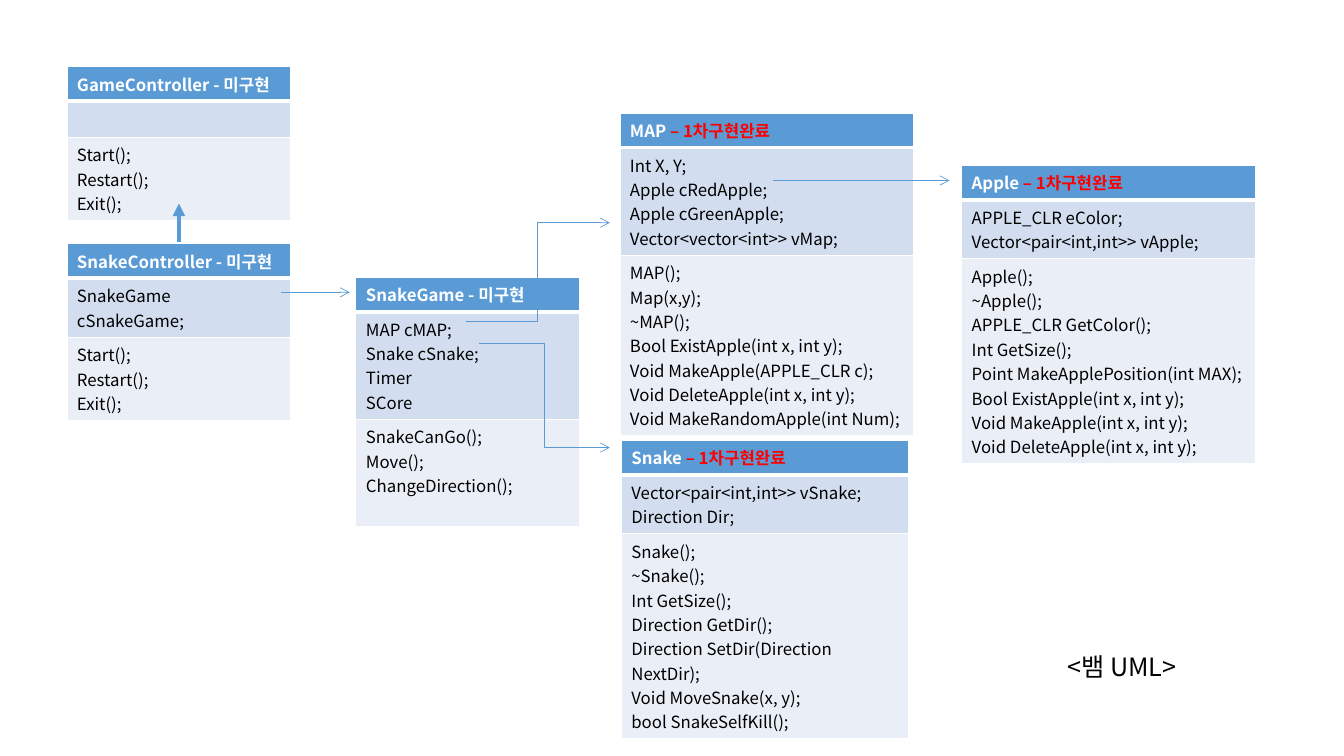
from dataclasses import dataclass

from lxml import etree
from pptx import Presentation
from pptx.dml.color import RGBColor
from pptx.enum import shapes
from pptx.oxml import ns
from pptx.util import Pt


@dataclass(frozen=True)
class Theme:
    """Colours, font and sizes shared by the whole diagram."""
    font: str = "Noto Sans CJK KR"
    blue: str = "5B9BD5"
    fields: str = "D2DEEF"
    methods: str = "EAEFF7"
    white: str = "FFFFFF"
    black: str = "000000"
    red: str = "FF0000"
    body: float = 12
    caption: float = 18
    line: float = 17.4
    padding: float = 7.2


T = Theme()
TODO = " - 미구현"
DONE = "– 1차구현완료"


def add(parent, tag, **attrs):
    """Append a drawing element to parent and return it."""
    return etree.SubElement(parent, ns.qn(tag), attrs)


def write(tf, lines, size=T.body, color=T.black, bold=False):
    """Fill a text frame; each line is a string or a list of (text, colour) runs."""
    for i, line in enumerate(lines or [[]]):
        p = tf.paragraphs[0] if i == 0 else tf.add_paragraph()
        runs = [(line, color)] if isinstance(line, str) else line
        for words, tint in runs:
            r = p.add_run()
            r.text = words
            r.font.size, r.font.bold, r.font.name = Pt(size), bold, T.font
            r.font.color.rgb = RGBColor.from_string(tint)
            add(r.font._element, "a:ea", typeface=T.font)
        if not runs:
            add(p._p, "a:endParaRPr", sz=str(int(size * 100)))


def format_cell(cell, fill, is_header):
    """Give a cell white borders and a solid fill."""
    widths = {"L": 1, "R": 1, "T": 1, "B": 3} if is_header else {"L": 1, "R": 1, "B": 1}
    tcPr = cell._tc.get_or_add_tcPr()
    for side, width in widths.items():
        ln = add(tcPr, f"a:ln{side}", w=str(Pt(width)))
        add(add(ln, "a:solidFill"), "a:srgbClr", val=T.white)
    cell.fill.solid()
    cell.fill.fore_color.rgb = RGBColor.from_string(fill)


def class_box(s, left, top, width, title, fields, methods, field_rows=None, method_rows=None):
    """Draw one class as a table of title, fields and methods."""
    counts = [1, field_rows or len(fields), method_rows or len(methods)]
    heights = [T.padding + T.line * n for n in counts]
    frame = s.shapes.add_table(3, 1, Pt(left), Pt(top), Pt(width), Pt(sum(heights)))
    table = frame.table
    table.columns[0].width = Pt(width)
    parts = [([title], T.blue), (fields, T.fields), (methods, T.methods)]
    for i, (lines, fill) in enumerate(parts):
        table.rows[i].height = Pt(heights[i])
        cell = table.cell(i, 0)
        format_cell(cell, fill, i == 0)
        write(cell.text_frame, lines, color=T.white if i == 0 else T.black, bold=i == 0)


def arrow(s, start, end, kind=shapes.MSO_CONNECTOR.STRAIGHT, width=0.5, head="arrow"):
    """Draw a connector with an arrowhead at its end."""
    sp = s.shapes.add_connector(kind, *map(Pt, start + end))
    sp.line.color.rgb = RGBColor.from_string(T.blue)
    sp.line.width = Pt(width)
    add(sp.line._get_or_add_ln(), "a:tailEnd", type=head)
    add(sp._element.spPr, "a:effectLst")


def controllers(s, left, top, width):
    """Draw the base controller, its child and the inheritance arrow."""
    actions = ["Start();", "Restart();", "Exit();"]
    child = top + 126.7
    class_box(s, left, top, width, "GameController" + TODO, [], actions, field_rows=1.08)
    class_box(s, left, child, width, "SnakeController" + TODO,
              ["SnakeGame cSnakeGame;"], actions, field_rows=2)
    middle = left + width / 2
    arrow(s, (middle, child - 1.4), (middle, child - 28.8), width=3, head="triangle")


def game(s, left, top, width):
    """Draw the game class."""
    class_box(s, left, top, width, "SnakeGame" + TODO,
              ["MAP cMAP;", "Snake cSnake;", "Timer", "SCore"],
              ["SnakeCanGo();", "Move();", "ChangeDirection();"], method_rows=4)


def done_title(name):
    """Return title runs for a finished class."""
    return [(name + " ", T.white), (DONE, T.red)]


def board(s, left, top, width):
    """Draw the map class with the snake class below it."""
    class_box(s, left + 1, top + 233.8, width - 5, done_title("Snake"),
              ["Vector<pair<int,int>> vSnake;", "Direction Dir;"],
              ["Snake();", "~Snake();", "Int GetSize();", "Direction GetDir();",
               "Direction SetDir(Direction NextDir);", "Void MoveSnake(x, y);",
               "bool SnakeSelfKill();"], method_rows=8)
    class_box(s, left, top, width, done_title("MAP"),
              ["Int X, Y;", "Apple cRedApple;", "Apple cGreenApple;",
               "Vector<vector<int>> vMap;"],
              ["MAP();", "Map(x,y);", "~MAP();", "Bool ExistApple(int x, int y);",
               "Void MakeApple(APPLE_CLR c);", "Void DeleteApple(int x, int y);",
               "Void MakeRandomApple(int Num);"])


def apple(s, left, top, width):
    """Draw the apple class."""
    class_box(s, left, top, width, done_title("Apple"),
              ["APPLE_CLR eColor;", "Vector<pair<int,int>> vApple;"],
              ["Apple();", "~Apple();", "APPLE_CLR GetColor();", "Int GetSize();",
               "Point MakeApplePosition(int MAX);", "Bool ExistApple(int x, int y);",
               "Void MakeApple(int x, int y);", "Void DeleteApple(int x, int y);"])


def links(s):
    """Connect each member to the class it holds."""
    elbow = shapes.MSO_CONNECTOR.ELBOW
    arrow(s, (200.9, 208.8), (249.8, 208.8))
    arrow(s, (332.6, 229.7), (435.6, 159.1), elbow)
    arrow(s, (342, 245.5), (435.6, 319.7), elbow)
    arrow(s, (552.2, 128.9), (678.2, 128.9))


def caption(s, left, top, width, height):
    """Write the name of the diagram."""
    tf = s.shapes.add_textbox(*map(Pt, (left, top, width, height))).text_frame
    tf.word_wrap = False
    write(tf, ["<뱀 UML>"], size=T.caption)


prs = Presentation()
prs.slide_width, prs.slide_height = Pt(960), Pt(540)
s = prs.slides.add_slide(prs.slide_layouts[6])
board(s, 442.8, 80.8, 210)
apple(s, 686.9, 118.1, 210)
controllers(s, 47.8, 47.5, 160)
game(s, 254.2, 198, 160)
links(s)
caption(s, 755.3, 461.5, 103, 29)
prs.save("out.pptx")
